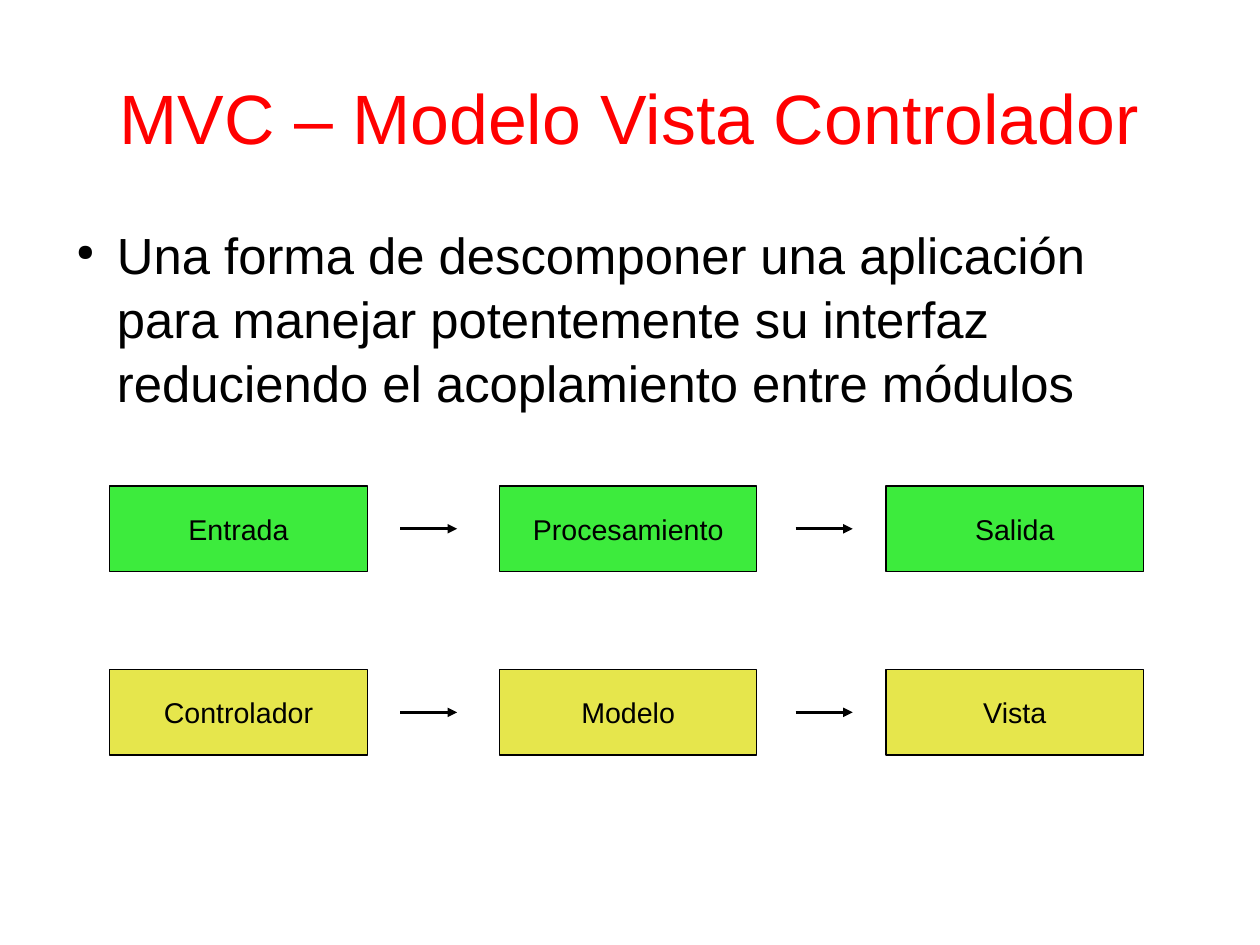
from dataclasses import dataclass

from lxml.etree import SubElement
from pptx import Presentation
from pptx.dml.color import RGBColor
from pptx.enum.shapes import MSO_CONNECTOR, MSO_SHAPE
from pptx.enum.text import MSO_ANCHOR, MSO_AUTO_SIZE, PP_ALIGN
from pptx.oxml.ns import qn
from pptx.slide import Slide
from pptx.text.text import TextFrame
from pptx.util import Cm, Pt

BLACK = "000000"
STAGE_LEFTS = (2.44, 11.1, 19.69)
ARROW_LEFTS = (8.89, 17.68)
STAGE_WIDTH, STAGE_HEIGHT = 5.72, 1.9
ARROW_LENGTH = 1.27


@dataclass(frozen=True)
class Flow:
    top: float
    fill: str
    stages: tuple[str, ...]


FLOWS = (
    Flow(10.8, "3DEB3D", ("Entrada", "Procesamiento", "Salida")),
    Flow(14.88, "E6E64C", ("Controlador", "Modelo", "Vista")),
)


def color(value: str) -> RGBColor:
    return RGBColor.from_string(value)


def write(frame: TextFrame, text: str, *, size: float, fill: str = BLACK,
          align: PP_ALIGN = PP_ALIGN.CENTER,
          anchor: MSO_ANCHOR = MSO_ANCHOR.MIDDLE,
          margins: tuple[float, float] = (0, 0)) -> None:
    frame.word_wrap = True
    frame.auto_size = MSO_AUTO_SIZE.NONE
    frame.vertical_anchor = anchor
    frame.margin_left = frame.margin_right = Cm(margins[0])
    frame.margin_top = frame.margin_bottom = Cm(margins[1])
    paragraph = frame.paragraphs[0]
    paragraph.alignment = align
    run = paragraph.add_run()
    run.text = text
    run.font.name = "Arial"
    run.font.size = Pt(size)
    run.font.color.rgb = color(fill)


def add_bullet(frame: TextFrame) -> None:
    paragraph = frame.paragraphs[0]
    paragraph.line_spacing = 1.05
    paragraph.space_after = Pt(14.2)
    properties = paragraph._p.get_or_add_pPr()
    properties.set("marL", str(Cm(1.2)))
    properties.set("indent", str(Cm(-0.9)))
    bullet_color = SubElement(properties, qn("a:buClr"))
    SubElement(bullet_color, qn("a:srgbClr"), val=BLACK)
    SubElement(properties, qn("a:buSzPct"), val="45000")
    SubElement(properties, qn("a:buChar"), char="●")


def add_stage(slide: Slide, label: str, left: float, flow: Flow) -> None:
    stage = slide.shapes.add_shape(
        MSO_SHAPE.RECTANGLE, Cm(left), Cm(flow.top), Cm(STAGE_WIDTH), Cm(STAGE_HEIGHT))
    stage.shadow.inherit = False
    stage.fill.solid()
    stage.fill.fore_color.rgb = color(flow.fill)
    stage.line.color.rgb = color(BLACK)
    stage.line.width = Pt(0)
    write(stage.text_frame, label, size=18, margins=(0.25, 0.13))


def add_arrow(slide: Slide, left: float, middle: float) -> None:
    arrow = slide.shapes.add_connector(
        MSO_CONNECTOR.STRAIGHT, Cm(left), Cm(middle), Cm(left + ARROW_LENGTH), Cm(middle))
    arrow.line.color.rgb = color(BLACK)
    arrow.line.width = Pt(0)
    SubElement(arrow.line._get_or_add_ln(), qn("a:tailEnd"), type="triangle")
    SubElement(arrow._element.spPr, qn("a:effectLst"))


def main() -> None:
    presentation = Presentation()
    presentation.slide_width, presentation.slide_height = Cm(28), Cm(21)
    slide = presentation.slides.add_slide(presentation.slide_layouts[5])

    # Title
    title = slide.shapes.title
    title.left, title.top, title.width, title.height = Cm(1.4), Cm(0.84), Cm(25.2), Cm(3.5)
    write(title.text_frame, "MVC – Modelo Vista Controlador", size=44, fill="FF0000")

    # Definition
    definition = slide.shapes.add_textbox(Cm(1.4), Cm(4.9), Cm(25.2), Cm(13.6))
    write(definition.text_frame,
          "Una forma de descomponer una aplicación para manejar potentemente "
          "su interfaz reduciendo el acoplamiento entre módulos",
          size=32, align=PP_ALIGN.LEFT, anchor=MSO_ANCHOR.TOP)
    add_bullet(definition.text_frame)

    # Flows of three stages joined by arrows
    for flow in FLOWS:
        for label, left in zip(flow.stages, STAGE_LEFTS):
            add_stage(slide, label, left, flow)
        for left in ARROW_LEFTS:
            add_arrow(slide, left, flow.top + STAGE_HEIGHT / 2)

    presentation.save("out.pptx")


if __name__ == "__main__":
    main()
